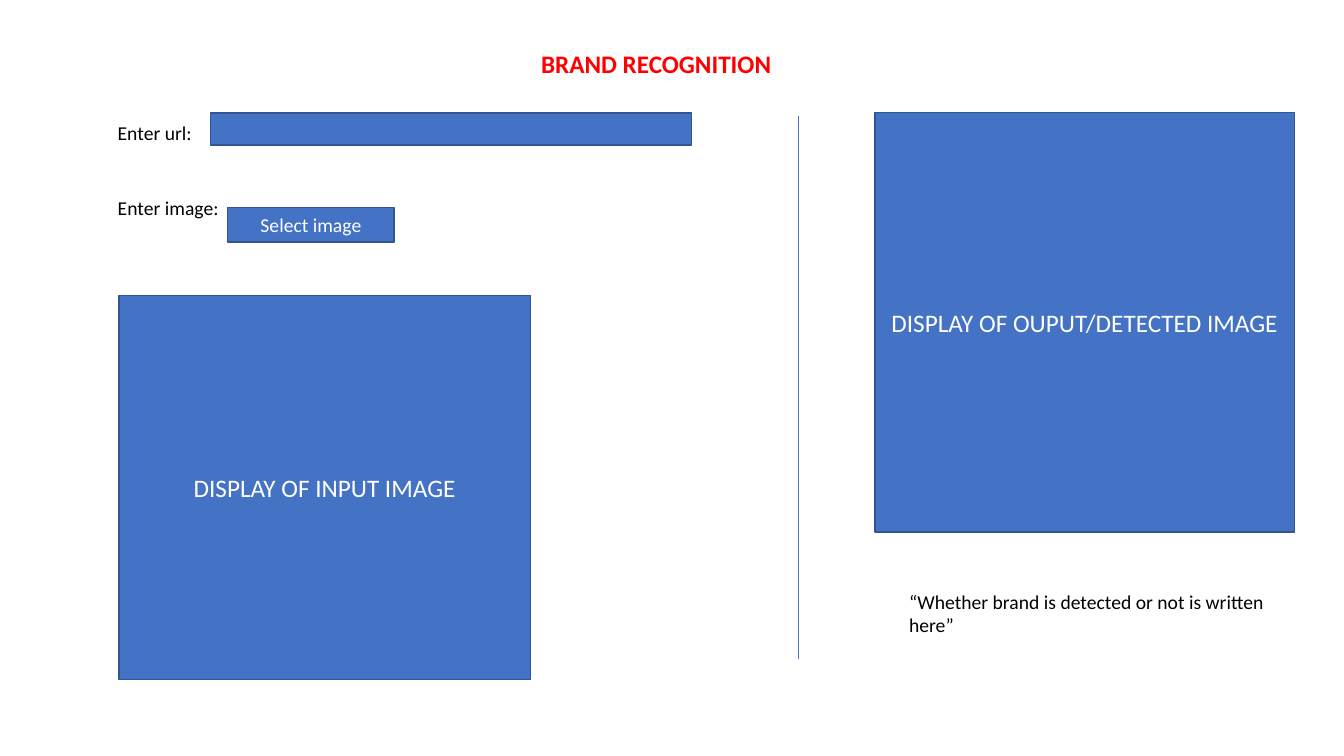
from collections import namedtuple

from lxml.etree import SubElement
from pptx import Presentation
from pptx.dml.color import RGBColor
from pptx.enum.shapes import MSO_CONNECTOR, MSO_SHAPE
from pptx.enum.text import MSO_ANCHOR, MSO_AUTO_SIZE, PP_ALIGN
from pptx.oxml.ns import qn
from pptx.util import Pt

Box = namedtuple("Box", "left top width height")
FONT = "Calibri"
BLUE, DARK_BLUE = "4472C4", "325491"
BLACK, WHITE, RED = "000000", "FFFFFF", "FF0000"
BODY, HEADING = 14, 18


def colour(value):
    """Turn a hex string into a colour."""
    return RGBColor.from_string(value)


def lengths(box):
    """Give the four sides of a box in points."""
    return [Pt(side) for side in box]


def within(box, left, top, width, height):
    """Place a box relative to the corner of another."""
    return Box(box.left + left, box.top + top, width, height)


def write(frame, text, size, ink, align=PP_ALIGN.LEFT, bold=False):
    """Write one paragraph of one run into a text frame."""
    frame.word_wrap = True
    para = frame.paragraphs[0]
    para.alignment = align
    span = para.add_run()
    span.text = text
    span.font.name = FONT
    span.font.size = Pt(size)
    span.font.bold = bold
    span.font.color.rgb = colour(ink)


def add_label(page, box, text, size=BODY, ink=BLACK, **style):
    """Add a text box that grows with its text."""
    frame = page.shapes.add_textbox(*lengths(box)).text_frame
    write(frame, text, size, ink, **style)
    frame.auto_size = MSO_AUTO_SIZE.SHAPE_TO_FIT_TEXT


def add_panel(page, box, text="", size=HEADING):
    """Add a blue rectangle, with centred text if any is given."""
    panel = page.shapes.add_shape(MSO_SHAPE.RECTANGLE, *lengths(box))
    panel.shadow.inherit = False
    panel.fill.solid()
    panel.fill.fore_color.rgb = colour(BLUE)
    panel.line.color.rgb = colour(DARK_BLUE)
    panel.line.width = Pt(1)
    if text:
        panel.text_frame.vertical_anchor = MSO_ANCHOR.MIDDLE
        write(panel.text_frame, text, size, WHITE, PP_ALIGN.CENTER)


def add_title(page, box):
    """Add the centred red heading."""
    add_label(page, box, "BRAND RECOGNITION", HEADING, RED,
              align=PP_ALIGN.CENTER, bold=True)


def add_input_region(page, box):
    """Add the url field, the image button and the input display."""
    add_label(page, within(box, 0, 2.2, 69.1, 24.5), "Enter url:")
    add_panel(page, within(box, 73.5, 0, 343.4, 23))
    add_label(page, within(box, 0, 55.5, 104.4, 24.5), "Enter image:")
    add_panel(page, within(box, 85.7, 67.7, 118.8, 24.5), "Select image", BODY)
    add_panel(page, within(box, 8, 130.4, 293.8, 274.3),
              "DISPLAY OF INPUT IMAGE")


def add_divider(page, box):
    """Add the thin vertical line along the left side of a box."""
    left, top, _, height = lengths(box)
    divider = page.shapes.add_connector(MSO_CONNECTOR.STRAIGHT,
                                        left, top, left, top + height)
    divider.line.color.rgb = colour(BLUE)
    divider.line.width = Pt(0.5)
    SubElement(divider.element.spPr, qn("a:effectLst"))


def add_output_region(page, box):
    """Add the square output display and the result text below it."""
    add_panel(page, within(box, 0, 0, box.width, box.width),
              "DISPLAY OF OUPUT/DETECTED IMAGE")
    add_label(page, within(box, 17.3, 337, 269.3, 41),
              "“Whether brand is detected or not is written here”")


deck = Presentation()
deck.slide_width, deck.slide_height = Pt(960), Pt(540)
page = deck.slides.add_slide(deck.slide_layouts[6])
add_title(page, Box(173.5, 31, 590.4, 28.8))
add_input_region(page, Box(77, 80.6, 416.9, 404.7))
add_divider(page, Box(570.2, 82.8, 0, 388.1))
add_output_region(page, Box(625, 80.6, 299.5, 378))
deck.save("out.pptx")
